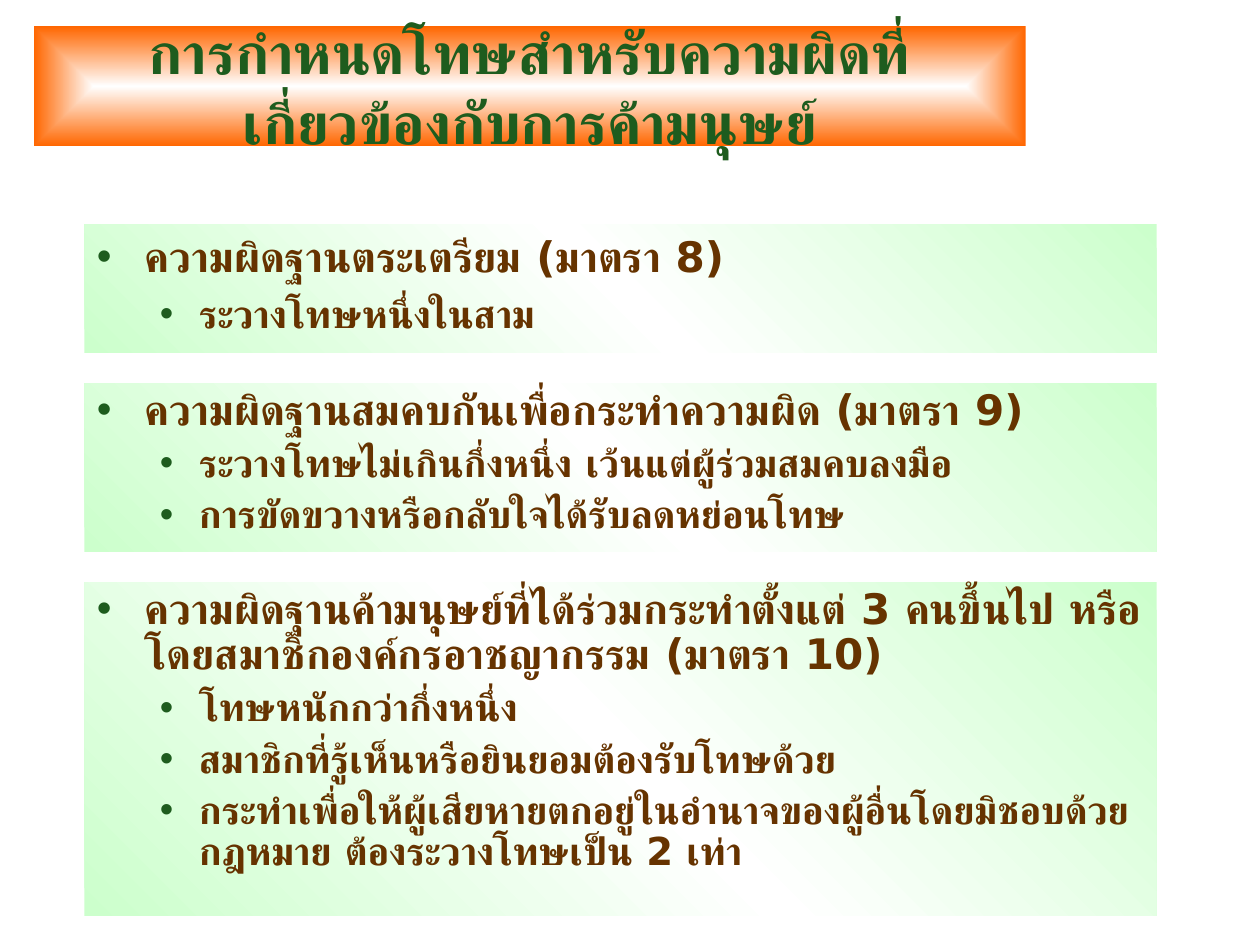
"""Build the slide on penalties for human trafficking offences."""
import pptx
import pptx.util
import pptx.dml.color
import pptx.enum.lang
import pptx.enum.shapes
import pptx.enum.text
import pptx.oxml
import pptx.oxml.ns

Inches = pptx.util.Inches
Pt = pptx.util.Pt
RGBColor = pptx.dml.color.RGBColor
qn = pptx.oxml.ns.qn
ALIGN = pptx.enum.text.PP_ALIGN

WHITE = RGBColor(0xFF, 0xFF, 0xFF)
ORANGE = RGBColor(0xFF, 0x66, 0x00)
MINT = RGBColor(0xCC, 0xFF, 0xCC)
GREEN = RGBColor(0x1E, 0x5C, 0x1E)
BROWN = RGBColor(0x66, 0x33, 0x00)

RADIAL = ('<a:path path="rect"><a:fillToRect l="50000" t="50000" '
          'r="50000" b="50000"/></a:path>')
SLANT = '<a:lin ang="8100000" scaled="0"/>'

TITLE = "การกำหนดโทษสำหรับความผิดที่เกี่ยวข้องกับการค้ามนุษย์"
PANELS = [
    (1.78, 1.02, 1.0, [
        (0, "ความผิดฐานตระเตรียม (มาตรา 8)"),
        (1, "ระวางโทษหนึ่งในสาม"),
    ]),
    (3.04, 1.34, 0.9, [
        (0, "ความผิดฐานสมคบกันเพื่อกระทำความผิด (มาตรา 9)"),
        (1, "ระวางโทษไม่เกินกึ่งหนึ่ง เว้นแต่ผู้ร่วมสมคบลงมือ"),
        (1, "การขัดขวางหรือกลับใจได้รับลดหย่อนโทษ"),
    ]),
    (4.62, 2.65, 0.9, [
        (0, "ความผิดฐานค้ามนุษย์ที่ได้ร่วมกระทำตั้งแต่ 3 คนขึ้นไป "
            "หรือโดยสมาชิกองค์กรอาชญากรรม (มาตรา 10)"),
        (1, "โทษหนักกว่ากึ่งหนึ่ง"),
        (1, "สมาชิกที่รู้เห็นหรือยินยอมต้องรับโทษด้วย"),
        (1, "กระทำเพื่อให้ผู้เสียหายตกอยู่ในอำนาจของผู้อื่นโดยมิชอบด้วยกฎหมาย "
            "ต้องระวางโทษเป็น 2 เท่า"),
    ]),
]
LEVELS = [(24, 6, 0.38, -0.38), (22, 5.5, 0.81, -0.31)]


def add_box(slide, left, top, width, height, stops, shade, anchor):
    """Add a rectangle with a gradient fill and return its text frame."""
    box = slide.shapes.add_shape(
        pptx.enum.shapes.MSO_SHAPE.RECTANGLE,
        Inches(left), Inches(top), Inches(width), Inches(height))
    box.shadow.inherit = False
    box.line.fill.background()
    box.fill.gradient()
    marks = "".join(
        f'<a:gs pos="{pos * 1000}"><a:srgbClr val="{color}"/></a:gs>'
        for pos, color in stops)
    grad = pptx.oxml.parse_xml(
        f'<a:gradFill {pptx.oxml.ns.nsdecls("a")} rotWithShape="1">'
        f'<a:gsLst>{marks}</a:gsLst>{shade}</a:gradFill>')
    props = box._element.spPr
    props.replace(props.find(qn("a:gradFill")), grad)
    frame = box.text_frame
    frame.word_wrap = True
    frame.vertical_anchor = anchor
    return frame


def add_run(para, text, font, size, color):
    """Add one bold Thai run."""
    run = para.add_run()
    run.text = text
    run.font.name = font
    run.font.size = Pt(size)
    run.font.bold = True
    run.font.color.rgb = color
    run.font.language_id = pptx.enum.lang.MSO_LANGUAGE_ID.THAI
    face = run._r.get_or_add_rPr().makeelement(qn("a:cs"), {"typeface": font})
    run._r.rPr.append(face)


def set_bullet(para, margin, indent):
    """Give a paragraph a green bullet and a hanging indent."""
    props = para._p.get_or_add_pPr()
    props.set("marL", str(Inches(margin)))
    props.set("indent", str(Inches(indent)))
    space = pptx.oxml.ns.nsdecls("a")
    for part in (
            f'<a:buClr {space}><a:srgbClr val="{GREEN}"/></a:buClr>',
            f'<a:buFont {space} typeface="Arial"/>',
            f'<a:buChar {space} char="•"/>'):
        props.append(pptx.oxml.parse_xml(part))


def add_title(slide):
    """Add the orange title bar."""
    frame = add_box(slide, 0.27, 0.21, 7.87, 0.95,
                    [(0, WHITE), (100, ORANGE)], RADIAL,
                    pptx.enum.text.MSO_ANCHOR.MIDDLE)
    para = frame.paragraphs[0]
    para.alignment = ALIGN.CENTER
    add_run(para, TITLE, "Arial", 33, GREEN)


def add_panel(slide, top, height, spacing, items):
    """Add a green panel with a two-level list."""
    frame = add_box(slide, 0.67, top, 8.51, height,
                    [(0, MINT), (50, WHITE), (100, MINT)], SLANT,
                    pptx.enum.text.MSO_ANCHOR.TOP)
    for place, (level, text) in enumerate(items):
        para = frame.add_paragraph() if place else frame.paragraphs[0]
        size, before, margin, indent = LEVELS[level]
        para.level = level
        para.alignment = ALIGN.LEFT
        para.line_spacing = spacing
        para.space_before = Pt(before)
        set_bullet(para, margin, indent)
        add_run(para, text, "DejaVu Sans", size, BROWN)


def main():
    """Build and save the slide."""
    deck = pptx.Presentation()
    deck.slide_width = Inches(10)
    deck.slide_height = Inches(7.5)
    slide = deck.slides.add_slide(deck.slide_layouts[6])
    add_title(slide)
    for panel in PANELS:
        add_panel(slide, *panel)
    deck.save("out.pptx")


main()
